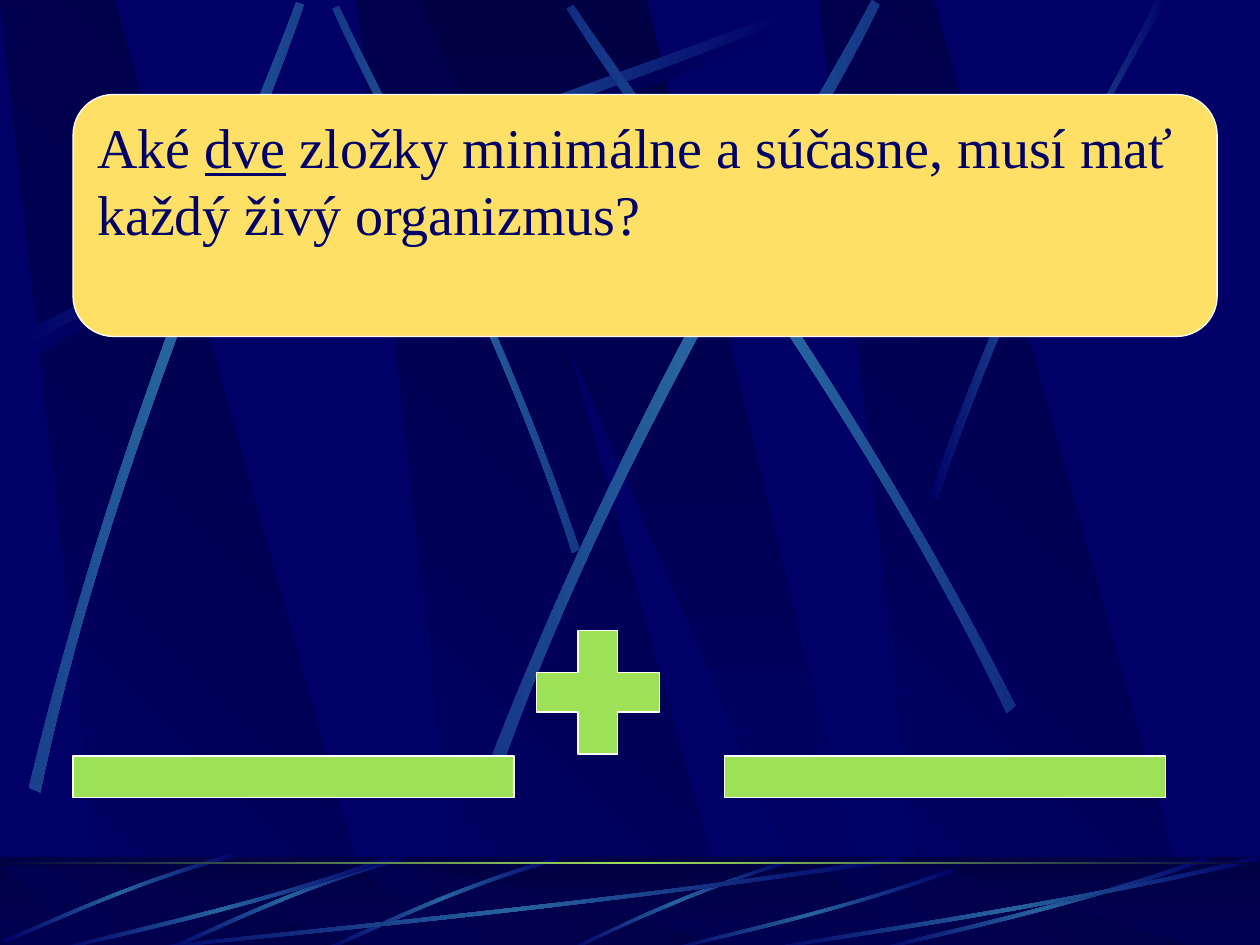
import math

import pptx
import pptx.dml.color
import pptx.enum.shapes
import pptx.enum.text
import pptx.oxml
import pptx.oxml.ns
import pptx.util

Inches = pptx.util.Inches
SHAPES = pptx.enum.shapes.MSO_SHAPE
NAVY, DARK, BLUE = "000066", "000044", "2663A0"
GREEN, YELLOW, WHITE = "9CE157", "FFE066", "FFFFFF"
GLOW = [(0, NAVY), (50, BLUE), (100, NAVY)]
SHADE = [(0, NAVY), (50, DARK), (100, NAVY)]

# Each streak: colour stops, frame centre, rotation, then two edges of
# four Bezier points, one running out and the other running back.
SKY_STREAKS = [
    (SHADE, (3.24, 1.52), 0, [(0.2, 2.75), (2.84, 1.34), (5.24, 0.59), (6.26, 0.18)],
     [(6.29, 0.24), (5.28, 0.69), (2.54, 1.51), (0.23, 2.85)]),
    (GLOW, (3.62, 2.22), 45, [(4.6, 4.36), (3.91, 2.34), (3.02, 0.77), (2.69, 0.05)],
     [(2.64, 0.07), (2.95, 0.79), (3.98, 2.58), (4.54, 4.39)]),
    (GLOW, (3.18, 1.44), 0, [(0.14, 2.67), (2.78, 1.25), (5.18, 0.51), (6.2, 0.1)],
     [(6.23, 0.16), (5.22, 0.61), (2.48, 1.43), (0.17, 2.77)]),
    (GLOW, (1.33, 3.16), 311.7, [(0.23, 6.25), (0.93, 3.34), (1.97, 1.05), (2.35, 0.02)],
     [(2.41, 0.04), (2.07, 1.08), (0.86, 3.68), (0.32, 6.29)]),
    (GLOW, (5.43, 3.1), 321.6, [(3.85, 6.14), (4.98, 3.2), (6.38, 1.02), (6.92, 0)],
     [(6.98, 0.04), (6.49, 1.08), (4.86, 3.55), (3.94, 6.21)]),
    (GLOW, (6.27, 2.86), 34.8, [(8.06, 5.6), (6.7, 2.93), (5.16, 0.95), (4.55, 0.04)],
     [(4.5, 0.07), (5.07, 1.01), (6.85, 3.25), (7.99, 5.66)]),
    (GLOW, (8.32, 1.98), 0, [(7.38, 3.93), (8.14, 1.73), (8.88, 0.66), (9.17, 0)],
     [(9.27, 0), (8.36, 1.45), (7.69, 3.22), (7.44, 3.97)]),
]

# Floor streaks in parts of their box, placed by the boxes that follow.
SHORT_ARC = [(1, 0), (0.5, 0.37), (0.16, 0.82), (0, 1)], [(0.03, 1), (0.23, 0.75), (0.68, 0.25), (1, 0.04)]
TILTED_ARC = [(0.99, 0), (0.53, 0.33), (0.17, 0.8), (0, 0.97)], [(0.01, 1), (0.17, 0.84), (0.58, 0.31), (1, 0.04)]
LONG_ARC = [(1, 0.04), (0.57, 0.57), (0.17, 0.86), (0.01, 1)], [(0, 0.99), (0.16, 0.81), (0.61, 0.51), (0.99, 0)]
FLOOR_STREAKS = [
    (SHORT_ARC, 0, [(4.48, 6.82, 1.8, 0.73)]),
    (TILTED_ARC, 314.9, [(2.56, 6.8, 1.88, 0.75), (1.31, 6.8, 1.88, 0.75), (0.02, 6.77, 1.86, 0.71)]),
    (LONG_ARC, 0, [(1, 6.8, 6.17, 0.75), (0.42, 6.8, 2.67, 0.75), (5.27, 6.89, 2.31, 0.66),
                   (6.92, 6.8, 2.67, 0.75), (6, 6.8, 4, 0.75)]),
]


def color(value):
    return pptx.dml.color.RGBColor.from_string(value)


def paint(shape, fill, line=None):
    shape.shadow.inherit = False
    shape.fill.solid()
    shape.fill.fore_color.rgb = color(fill)
    if line:
        shape.line.color.rgb = color(line)
        shape.line.width = pptx.util.Pt(0.75)
    else:
        shape.line.fill.background()


def paint_gradient(shape, stops, angle):
    """Fill with stops of (percent, colour) that stay level when the shape turns."""
    paint(shape, stops[0][1])
    stop_xml = "".join(
        f'<a:gs pos="{position * 1000}"><a:srgbClr val="{value}"/></a:gs>' for position, value in stops)
    gradient = pptx.oxml.parse_xml(
        f'<a:gradFill {pptx.oxml.ns.nsdecls("a")} rotWithShape="0"><a:gsLst>{stop_xml}</a:gsLst>'
        f'<a:lin ang="{angle * 60000}" scaled="0"/></a:gradFill>')
    properties = shape._element.spPr
    properties.replace(properties.find(pptx.oxml.ns.qn("a:solidFill")), gradient)


def add_box(slide, kind, box):
    return slide.shapes.add_shape(kind, *map(Inches, box))


def add_outline(slide, points):
    corners = [(Inches(x), Inches(y)) for x, y in points]
    builder = slide.shapes.build_freeform(*corners[0])
    builder.add_line_segments(corners[1:], close=True)
    return builder.convert_to_shape()


def within(points, box):
    """Turn parts of a box into places on the slide."""
    left, top, width, height = box
    return [(left + x * width, top + y * height) for x, y in points]


def bend_edges(shape):
    """Turn the two runs of three straight segments into Bezier curves."""
    segments = list(shape._element.iter(pptx.oxml.ns.qn("a:lnTo")))
    for run in (segments[:3], segments[4:7]):
        curve = pptx.oxml.parse_xml(f'<a:cubicBezTo {pptx.oxml.ns.nsdecls("a")}/>')
        run[0].addprevious(curve)
        for segment in run:
            curve.append(segment[0])
            segment.getparent().remove(segment)


def add_streak(slide, stops, center, rotation, edges):
    """Draw the streak level about its centre, then rotate it into place."""
    cosine, sine = math.cos(math.radians(rotation)), math.sin(math.radians(rotation))
    points = []
    for x, y in edges[0] + edges[1]:
        dx, dy = x - center[0], y - center[1]
        points.append((center[0] + dx * cosine + dy * sine, center[1] - dx * sine + dy * cosine))
    shape = add_outline(slide, points)
    bend_edges(shape)
    # The frame turns about its own middle, so carry that middle round as well.
    dx = shape.left + shape.width / 2 - Inches(center[0])
    dy = shape.top + shape.height / 2 - Inches(center[1])
    shape.left += round(dx * cosine - dy * sine - dx)
    shape.top += round(dx * sine + dy * cosine - dy)
    shape.rotation = rotation
    paint_gradient(shape, stops, 0)


def add_beams(slide, top, height):
    for left in (2.83, 0, 6.5):
        beam = [(0.28, 1), (1, 1), (0.3, 0), (0, 0)]
        paint_gradient(add_outline(slide, within(beam, (left, top, 3.02, height))),
                       [(0, NAVY), (100, DARK)], 315)
    wide_beam = [(0, 0), (0.9, 1), (1, 1), (0.5, 0)]
    paint_gradient(add_outline(slide, within(wide_beam, (3.33, top, 3.61, height))),
                   [(0, DARK), (100, NAVY)], 90)


def add_sky(slide):
    add_beams(slide, 0, 7.52)
    for stops, center, rotation, *edges in SKY_STREAKS:
        add_streak(slide, stops, center, rotation, edges)


def add_floor(slide, box):
    left, top, width, height = box
    paint_gradient(add_box(slide, SHAPES.RECTANGLE, box), [(0, DARK), (100, NAVY)], 90)
    add_beams(slide, top + 0.08, 0.66)
    veil = add_box(slide, SHAPES.RECTANGLE, box)
    paint(veil, DARK)
    veil_color = veil._element.spPr.find(".//" + pptx.oxml.ns.qn("a:srgbClr"))
    veil_color.append(pptx.oxml.parse_xml(f'<a:alpha {pptx.oxml.ns.nsdecls("a")} val="50000"/>'))
    for arc, rotation, boxes in FLOOR_STREAKS:
        for streak_box in boxes:
            center = within([(0.5, 0.5)], streak_box)[0]
            add_streak(slide, GLOW, center, rotation, [within(edge, streak_box) for edge in arc])
    horizon = add_box(slide, SHAPES.RECTANGLE, (left, top + 0.04, width, 0.02))
    paint_gradient(horizon, [(0, DARK), (50, GREEN), (100, DARK)], 0)


def add_question(slide, box):
    shape = add_box(slide, SHAPES.ROUNDED_RECTANGLE, box)
    paint(shape, YELLOW, WHITE)
    frame = shape.text_frame
    frame.word_wrap = True
    frame.vertical_anchor = pptx.enum.text.MSO_ANCHOR.TOP
    lines = [[("Aké ", False), ("dve", True), (" zložky minimálne a súčasne, musí mať", False)],
             [("každý živý organizmus?", False)]]
    for index, line in enumerate(lines):
        paragraph = frame.add_paragraph() if index else frame.paragraphs[0]
        paragraph.alignment = pptx.enum.text.PP_ALIGN.LEFT
        for text, underline in line:
            run = paragraph.add_run()
            run.text = text
            run.font.color.rgb = color(NAVY)
            font_values = {"name": "Times New Roman", "size": pptx.util.Pt(32), "underline": underline}
            for name, value in font_values.items():
                setattr(run.font, name, value)


def add_answer(slide, box):
    """Two blanks at the foot of the box with a plus sign between them."""
    left, top, width, height = box
    bar_width, bar_height = 3.5, 0.33
    bar_top = top + height - bar_height
    parts = [(SHAPES.RECTANGLE, (left, bar_top, bar_width, bar_height)),
             (SHAPES.MATH_PLUS, (left + bar_width, top, 1.33, 1.33)),
             (SHAPES.RECTANGLE, (left + width - bar_width, bar_top, bar_width, bar_height))]
    for kind, part_box in parts:
        paint(add_box(slide, kind, part_box), GREEN, WHITE)


def main():
    presentation = pptx.Presentation()
    presentation.slide_width, presentation.slide_height = Inches(10), Inches(7.5)
    slide = presentation.slides.add_slide(presentation.slide_layouts[6])
    slide.background.fill.solid()
    slide.background.fill.fore_color.rgb = color(NAVY)
    add_sky(slide)
    add_floor(slide, (0, 6.8, 10, 0.75))
    add_question(slide, (0.58, 0.75, 9.08, 1.92))
    add_answer(slide, (0.58, 4.83, 8.67, 1.5))
    presentation.save("out.pptx")


if __name__ == "__main__":
    main()
